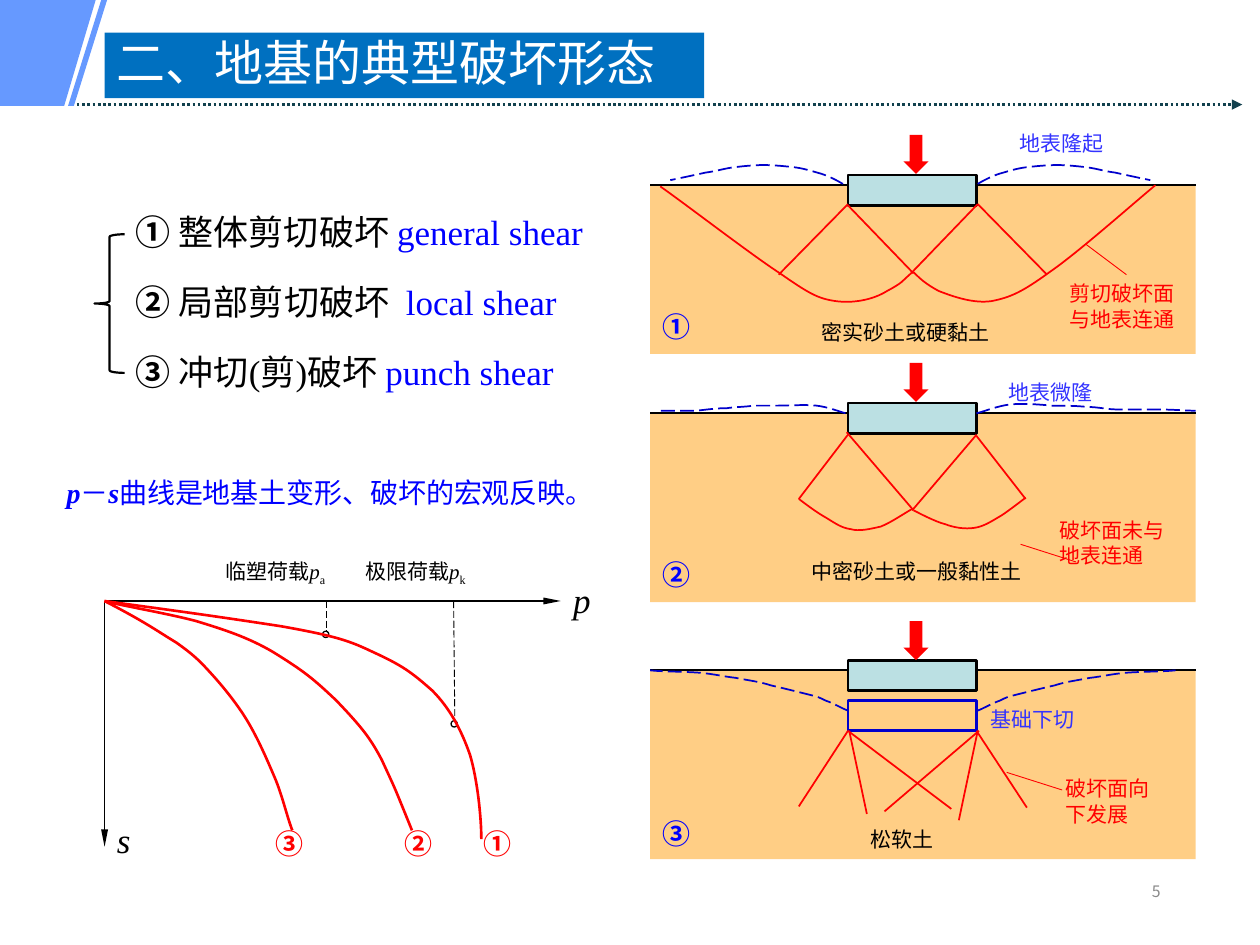
from lxml.etree import SubElement
from pptx import Presentation
from pptx.dml.color import RGBColor
from pptx.enum.dml import MSO_LINE as DASH
from pptx.enum.shapes import MSO_CONNECTOR, MSO_SHAPE as SHAPE
from pptx.enum.text import MSO_ANCHOR as ANCHOR, PP_ALIGN as ALIGN
from pptx.oxml.ns import qn
from pptx.util import Inches, Pt

rgb = RGBColor.from_string
SERIF, SANS = "Times New Roman", "Noto Sans CJK SC"
RED, BLUE, NAVY, BLACK, WHITE = "FF0000", "0000FF", "0000CC", "000000", "FFFFFF"

prs = Presentation()
prs.slide_width, prs.slide_height = Inches(10), Inches(7.5)
s = prs.slides.add_slide(prs.slide_layouts[6])


def add_text(x, y, w, h, size, runs, wrap=True, spacing=None, align=None):
    """Runs are (text, colour, flags): b bold, i italic, o sans, _ subscript, w wide."""
    tf = s.shapes.add_textbox(Inches(x), Inches(y), Inches(w), Inches(h)).text_frame
    tf.word_wrap = wrap
    p = tf.paragraphs[0]
    p.line_spacing, p.alignment = spacing, align
    for text, color, flags in runs:
        r = p.add_run()
        r.text = text
        f = r.font
        f.size, f.bold, f.italic = Pt(size), "b" in flags, "i" in flags
        f.color.rgb = rgb(color)
        f.name = SANS if "o" in flags else SERIF
        rpr = r._r.get_or_add_rPr()
        SubElement(rpr, qn("a:ea")).set("typeface", SANS)
        if "_" in flags:
            rpr.set("baseline", "-25000")
        if "w" in flags:
            rpr.set("spc", "500")


def add_curve(pts, color, width, dash=None):
    """Draw a chain of cubic Beziers: a start, then three points a segment."""
    corners = [(Inches(x), Inches(y)) for x, y in pts]
    fb = s.shapes.build_freeform(*corners[0])
    fb.add_line_segments(corners[1:], close=False)
    sp = fb.convert_to_shape()
    outline = sp._element.spPr.find(".//" + qn("a:moveTo")).getparent()
    segments = outline.findall(qn("a:lnTo"))
    for i in range(0, len(segments), 3):
        bezier = SubElement(outline, qn("a:cubicBezTo"))
        for segment in segments[i:i + 3]:
            bezier.append(segment[0])
            outline.remove(segment)
    sp.shadow.inherit = False
    sp.fill.background()
    sp.line.color.rgb, sp.line.width = rgb(color), Pt(width)
    if dash:
        sp.line.dash_style = dash


# Corner ornament
fb = s.shapes.build_freeform(0, 0)
fb.add_line_segments([(Inches(x), Inches(y)) for x, y in [(0.76, 0), (0.51, 0.84), (0, 0.84)]])
corner = fb.convert_to_shape()
stripe = s.shapes.add_shape(SHAPE.PARALLELOGRAM, Inches(0.54), 0, Inches(0.31), Inches(0.84))
stripe.adjustments[0] = 0.85
for sp in (corner, stripe):
    sp.shadow.inherit = False
    sp.fill.solid()
    sp.fill.fore_color.rgb = rgb("6699FF")
    sp.line.fill.background()

# Preset shapes: kind, box, fill, fill opacity, line colour, line width
# Straight lines: start and end, colour, width, dash, arrow
back_shapes = [(SHAPE.RECTANGLE, (6.85, 6.02, 3.15, 1.48), WHITE, 80, None, 0)]
back_lines = [(0.61, 0.83, 9.86, 0.83, "12414E", 1.5, DASH.ROUND_DOT, "med")]
shapes = [(SHAPE.RECTANGLE, (0.83, 0.26, 4.76, 0.52), "0070C0", None, None, 0),
          (SHAPE.LEFT_BRACE, (0.75, 1.86, 0.24, 1.1), None, None, BLACK, 1.25)]

# Soil, ground line, footing and load of each panel
for ground, depth, arrow in [(1.47, 1.34, 1.07), (3.28, 1.5, 2.88), (5.32, 1.5, 4.93)]:
    back_shapes.append((SHAPE.RECTANGLE, (5.16, ground, 4.33, depth), "FF9900", 48, None, 0))
    back_lines.append((5.16, ground, 9.49, ground, BLACK, 1, None, None))
    shapes += [(SHAPE.RECTANGLE, (6.73, ground - 0.08, 1.02, 0.24), "BBE0E3", None, BLACK, 1.5),
               (SHAPE.DOWN_ARROW, (7.17, arrow, 0.2, 0.31), RED, None, None, 0)]
shapes += [(SHAPE.RECTANGLE, (6.73, 5.56, 1.02, 0.24), None, None, NAVY, 1.5),
           (SHAPE.OVAL, (2.56, 5.01, 0.05, 0.05), None, None, BLACK, 0.75),
           (SHAPE.OVAL, (3.58, 5.72, 0.05, 0.05), None, None, BLACK, 0.75)]

# Axes, drop lines, straight slip lines and leaders
lines = [(0.83, 4.77, 0.83, 6.72, BLACK, 0.75, None, "sm"),
         (0.83, 4.77, 4.45, 4.77, BLACK, 0.75, None, "sm"),
         (2.59, 4.77, 2.59, 5.01, BLACK, 0.5, DASH.LONG_DASH, None),
         (3.6, 4.77, 3.61, 5.73, BLACK, 0.5, DASH.LONG_DASH, None)]
slip_lines = [
    (6.73, 1.62, 6.18, 2.18), (6.73, 1.63, 7.25, 2.17), (7.76, 1.62, 7.23, 2.17),
    (7.76, 1.62, 8.31, 2.18),
    (7.75, 3.46, 8.14, 3.96), (6.73, 3.45, 6.34, 3.96), (6.72, 3.43, 7.25, 4.05),
    (7.75, 3.45, 7.24, 4.05),
    (7.75, 5.8, 8.15, 6.41), (6.73, 5.8, 6.34, 6.4), (6.73, 5.8, 7.55, 6.42),
    (7.77, 5.8, 7.02, 6.44), (6.74, 5.8, 6.88, 6.46), (7.76, 5.8, 7.61, 6.51)]
lines += [(*ends, RED, 1, None, None) for ends in slip_lines]
leaders = [(8.94, 2.18, 8.62, 1.94), (8.54, 4.46, 8.1, 4.32), (8.43, 6.27, 7.99, 6.13)]
lines += [(*ends, RED, 0.5, None, None) for ends in leaders]

for layer_shapes, layer_lines in [(back_shapes, back_lines), (shapes, lines)]:
    for kind, box, fill, opacity, color, width in layer_shapes:
        sp = s.shapes.add_shape(kind, *[Inches(v) for v in box])
        sp.shadow.inherit = False
        if fill:
            sp.fill.solid()
            sp.fill.fore_color.rgb = rgb(fill)
        else:
            sp.fill.background()
        if opacity:
            clr = sp._element.spPr.find(".//" + qn("a:srgbClr"))
            SubElement(clr, qn("a:alpha")).set("val", str(opacity * 1000))
        if color:
            sp.line.color.rgb, sp.line.width = rgb(color), Pt(width)
        else:
            sp.line.fill.background()
        if fill == "0070C0":  # slide title
            tf = sp.text_frame
            tf.word_wrap, tf.vertical_anchor = True, ANCHOR.MIDDLE
            p = tf.paragraphs[0]
            p.alignment, p.line_spacing = ALIGN.LEFT, 0.9
            r = p.add_run()
            r.text = "二、地基的典型破坏形态"
            r.font.size, r.font.name = Pt(28), SERIF
            r.font.color.rgb = rgb(WHITE)
    for x1, y1, x2, y2, color, width, dash, arrow in layer_lines:
        c = s.shapes.add_connector(MSO_CONNECTOR.STRAIGHT, *[Inches(v) for v in (x1, y1, x2, y2)])
        c.line.color.rgb, c.line.width = rgb(color), Pt(width)
        if dash:
            c.line.dash_style = dash
        if arrow:
            tail = SubElement(c.line._get_or_add_ln(), qn("a:tailEnd"))
            tail.set("type", "triangle")
            tail.set("w", arrow)
            tail.set("len", "lg" if arrow == "sm" else "med")
        SubElement(c._element.spPr, qn("a:effectLst"))

# Load-settlement curves
for pts in [
    [(0.83, 4.77), (1.41, 4.85), (1.64, 4.88), (2.23, 4.97), (2.68, 5.05), (2.78, 5.09),
     (2.95, 5.17), (3.19, 5.28), (3.26, 5.33), (3.43, 5.48), (3.57, 5.62), (3.66, 5.79),
     (3.73, 5.99), (3.79, 6.19), (3.82, 6.49), (3.82, 6.66)],
    [(0.83, 4.77), (0.93, 4.8), (1.34, 4.87), (1.56, 4.93), (1.79, 5), (1.97, 5.06),
     (2.16, 5.17), (2.42, 5.33), (2.49, 5.39), (2.67, 5.56), (2.88, 5.78), (2.94, 5.86),
     (3.03, 6.03), (3.15, 6.29), (3.12, 6.22), (3.27, 6.59)],
    [(0.83, 4.77), (1.16, 4.94), (1.25, 5.01), (1.4, 5.1), (1.54, 5.2), (1.58, 5.24),
     (1.68, 5.35), (1.78, 5.46), (1.9, 5.61), (1.98, 5.75), (2.06, 5.89), (2.12, 6.03),
     (2.18, 6.17), (2.24, 6.31), (2.28, 6.49), (2.32, 6.59)]]:
    add_curve(pts, RED, 1.5)

# Curved slip surfaces
for pts in [
    [(7.23, 2.17), (7.15, 2.24), (7.17, 2.24), (7.04, 2.31), (6.93, 2.38), (6.77, 2.41),
     (6.63, 2.39), (6.49, 2.37), (6.42, 2.33), (6.19, 2.17), (5.96, 2.02), (5.44, 1.62),
     (5.24, 1.48)],
    [(7.25, 2.16), (7.3, 2.21), (7.34, 2.25), (7.45, 2.31), (7.58, 2.36), (7.73, 2.41),
     (7.87, 2.39), (8.02, 2.36), (8.11, 2.32), (8.33, 2.16), (8.55, 2.01), (9, 1.61),
     (9.17, 1.47)],
    [(7.25, 4.05), (7.29, 4.07), (7.42, 4.14), (7.5, 4.16), (7.58, 4.19), (7.66, 4.2),
     (7.73, 4.19), (7.81, 4.18), (7.88, 4.13), (7.95, 4.09), (8.01, 4.05), (8.1, 3.98),
     (8.14, 3.95)],
    [(7.24, 4.04), (7.2, 4.06), (7.07, 4.15), (6.99, 4.18), (6.9, 4.2), (6.82, 4.22),
     (6.75, 4.2), (6.67, 4.19), (6.61, 4.14), (6.54, 4.1), (6.47, 4.06), (6.38, 3.99),
     (6.34, 3.96)]]:
    add_curve(pts, RED, 1)

# Deformed ground surface: heave and sinking are mirrored about the footing
heave = [(7.76, 1.46), (7.81, 1.43), (7.87, 1.4), (7.93, 1.38), (8, 1.36), (8.06, 1.34),
         (8.13, 1.33), (8.21, 1.32), (8.31, 1.31), (8.39, 1.31), (8.47, 1.31), (8.56, 1.32),
         (8.64, 1.33), (8.71, 1.34), (8.77, 1.36), (8.85, 1.37), (8.94, 1.39), (9.08, 1.42),
         (9.13, 1.43)]
sinking = [(7.76, 5.64), (7.81, 5.62), (7.86, 5.59), (7.91, 5.57), (7.97, 5.55), (7.96, 5.54),
           (8.04, 5.52), (8.12, 5.5), (8.28, 5.46), (8.37, 5.44), (8.46, 5.41), (8.55, 5.4),
           (8.65, 5.38), (8.74, 5.37), (8.82, 5.35), (8.93, 5.34), (9.05, 5.33), (9.25, 5.33),
           (9.33, 5.32)]
slight_right = [(7.75, 3.28), (7.8, 3.27), (7.92, 3.22), (8.02, 3.21), (8.12, 3.2), (8.25, 3.21),
                (8.35, 3.22), (8.45, 3.22), (8.54, 3.22), (8.63, 3.23), (8.72, 3.23),
                (8.78, 3.25), (8.87, 3.25), (8.97, 3.25), (9.09, 3.25), (9.19, 3.25),
                (9.3, 3.25), (9.43, 3.26), (9.49, 3.26)]
slight_left = [(6.71, 3.28), (6.67, 3.27), (6.57, 3.23), (6.48, 3.22), (6.39, 3.21), (6.25, 3.22),
               (6.17, 3.22), (6.09, 3.22), (6.05, 3.22), (5.98, 3.22), (5.92, 3.23), (5.84, 3.23),
               (5.77, 3.24), (5.69, 3.24), (5.62, 3.25), (5.53, 3.26), (5.44, 3.26), (5.3, 3.26),
               (5.24, 3.26)]
for pts in (heave, [(14.45 - x, y) for x, y in heave], slight_right, slight_left,
            sinking, [(14.49 - x, y) for x, y in sinking]):
    add_curve(pts, NAVY, 1, DASH.LONG_DASH)

# Failure modes
for y, w, mark, name, gap, english in [(1.62, 3.9, "① ", "整体剪切破坏", "", "general shear"),
                                       (2.18, 3.78, "② ", "局部剪切破坏", "w", "local shear"),
                                       (2.73, 3.7, "③ ", "冲切(剪)破坏", "", "punch shear")]:
    add_text(0.98, y, w, 0.44, 20, [(mark, BLACK, "bo"), (name, BLACK, ""), (" ", BLACK, gap),
                                    (english, BLUE, "")])
add_text(0.43, 3.67, 4.57, 0.42, 16,
         [("p", BLUE, "bi"), ("－", BLUE, ""), ("s", BLUE, "bi"),
          ("曲线是地基土变形、破坏的宏观反映。", BLUE, "")], spacing=1.2)

# Axis names and critical loads
for x, y, name in [(4.45, 4.54, "p"), (0.83, 6.45, "s")]:
    add_text(x, y, 0.4, 0.43, 20, [(name, BLACK, "i")])
for x, name, sub in [(1.69, "临塑荷载", "a"), (2.8, "极限荷载", "k")]:
    add_text(x, 4.38, 1, 0.3, 12, [(name, BLACK, ""), ("p", BLACK, "i"), (sub, BLACK, "_")])

# Numbers on the soil panels and the curves
for x, y, mark, color in [(5.16, 2.41, "①", BLUE), (5.16, 4.38, "②", BLUE), (5.16, 6.43, "③", BLUE),
                          (3.74, 6.51, "①", RED), (3.11, 6.51, "②", RED), (2.09, 6.51, "③", RED)]:
    add_text(x, y, 0.43, 0.37, 16, [(mark, color, "bo")], wrap=False)

# Panel labels
for x, y, w, label, color in [
        (6.42, 2.49, 1.81, "密实砂土或硬黏土", BLACK), (6.34, 4.38, 1.89, "中密砂土或一般黏性土", BLACK),
        (6.81, 6.51, 0.86, "松软土", BLACK), (8.39, 2.18, 1.1, "剪切破坏面与地表连通", RED),
        (8.31, 4.06, 1.1, "破坏面未与地表连通", RED), (8.36, 6.11, 0.98, "破坏面向下发展", RED),
        (7.99, 0.99, 0.94, "地表隆起", "3333FF"), (7.91, 2.96, 0.94, "地表微隆", "3333FF"),
        (7.76, 5.56, 0.94, "基础下切", "3333FF")]:
    add_text(x, y, w, 0.3, 12, [(label, color, "")])

# Page number
add_text(7.06, 6.95, 2.25, 0.4, 9, [("5", "898989", "o")], align=ALIGN.RIGHT)

prs.save("out.pptx")
